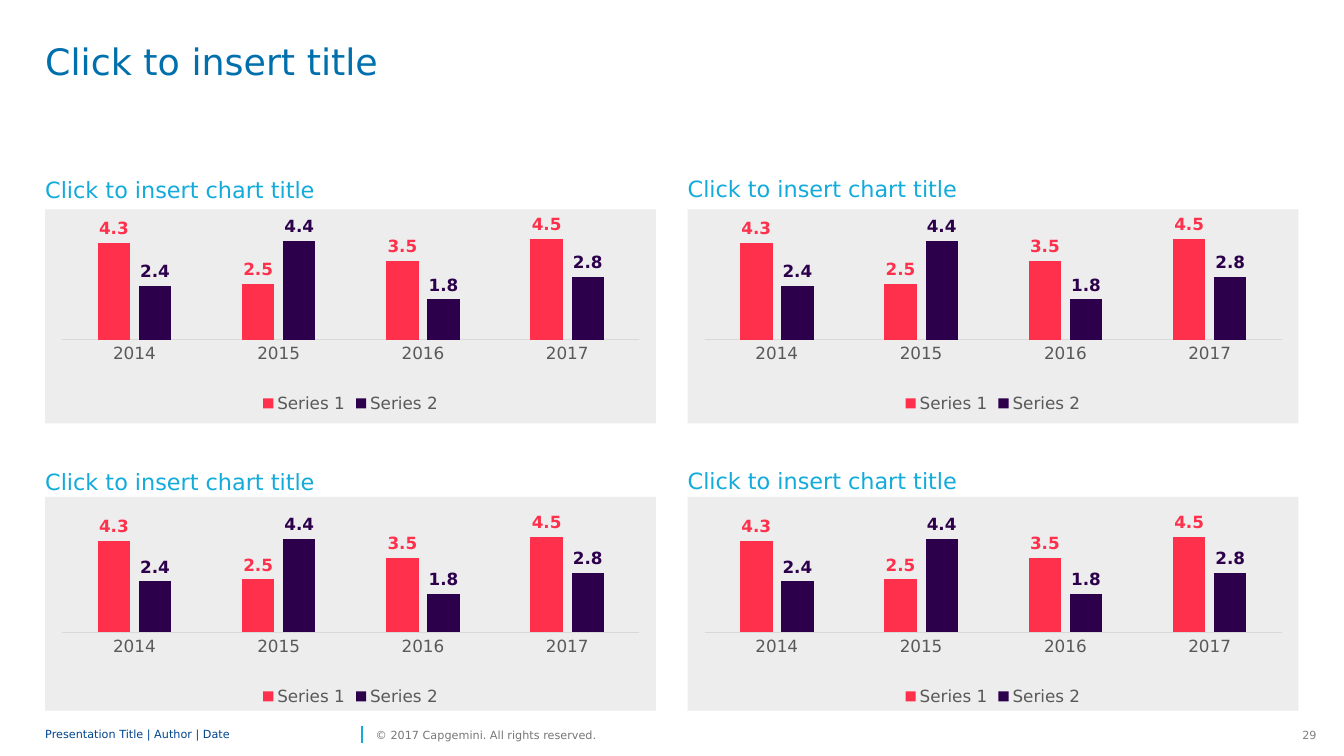
from dataclasses import dataclass

from lxml import etree
from pptx import Presentation
from pptx import util as u
from pptx.chart.data import CategoryChartData
from pptx.dml.color import RGBColor
from pptx.enum import chart as charts, shapes, text
from pptx.oxml import parse_xml
from pptx.oxml.ns import nsdecls, qn


@dataclass(frozen=True)
class Theme:
    font: str = "DejaVu Sans"
    title: str = "0070AD"
    accent: str = "12ABDB"
    panel: str = "EDEDED"
    author: str = "00458D"
    copyright: str = "767676"
    page_number: str = "808080"
    chart_text: str = "595959"
    axis: str = "D9D9D9"
    series: tuple = ("FF304C", "2C004B")
    title_size: int = 26
    caption_size: int = 16
    chart_size: int = 12
    footer_size: int = 8


THEME = Theme()
YEARS = (2014, 2015, 2016, 2017)
SERIES = {"Series 1": (4.3, 2.5, 3.5, 4.5), "Series 2": (2.4, 4.4, 1.8, 2.8)}

COLUMNS = (1.14, 17.33)
COLUMN_WIDTH = 15.39
CAPTION_OFFSETS = (0, -0.03)
# Per row: caption top, panel top, chart top, plot top and plot height
ROWS = ((3.97, 5.28, 5.06, 0.123, 0.518), (11.33, 12.52, 12.44, 0.149, 0.492))


def set_values(target, **values):
    for name, value in values.items():
        setattr(target, name, value)


def set_font(font, size, color, bold=False):
    set_values(font, name=THEME.font, size=u.Pt(size), bold=bold)
    font.color.rgb = RGBColor.from_string(color)


def place(shape, left, top, width, height):
    set_values(shape, left=u.Cm(left), top=u.Cm(top),
               width=u.Cm(width), height=u.Cm(height))


def write(box, words, size, color, anchor=text.MSO_ANCHOR.TOP,
          wrap=True, **paragraph_format):
    frame = box.text_frame
    set_values(frame, word_wrap=wrap, auto_size=text.MSO_AUTO_SIZE.NONE,
               vertical_anchor=anchor, margin_left=0, margin_top=0,
               margin_right=0, margin_bottom=0)
    para = frame.paragraphs[0]
    set_values(para, **{"alignment": text.PP_ALIGN.LEFT,
                        "space_before": u.Pt(0), **paragraph_format})
    span = para.add_run()
    span.text = words
    set_font(span.font, size, color)
    return para


def add_footer_text(page, left, width, words, color, **options):
    box = page.shapes.add_textbox(
        u.Cm(left), u.Cm(18.21), u.Cm(width), u.Cm(0.61))
    write(box, words, THEME.footer_size, color,
          anchor=text.MSO_ANCHOR.MIDDLE, **options)


def add_divider(page, left, top, bottom):
    line = page.shapes.add_connector(
        shapes.MSO_CONNECTOR.STRAIGHT,
        u.Cm(left), u.Cm(bottom), u.Cm(left), u.Cm(top))
    line.line.color.rgb = RGBColor.from_string(THEME.accent)
    line.line.width = u.Pt(1)
    etree.SubElement(line._element.spPr, qn("a:effectLst"))


def add_panel(page, left, top):
    panel = page.shapes.add_shape(
        shapes.MSO_SHAPE.RECTANGLE,
        u.Cm(left), u.Cm(top), u.Cm(COLUMN_WIDTH), u.Cm(5.39))
    panel.shadow.inherit = False
    panel.fill.solid()
    panel.fill.fore_color.rgb = RGBColor.from_string(THEME.panel)
    panel.line.fill.background()


def write_caption(placeholder, left, top):
    place(placeholder, left, top, COLUMN_WIDTH, 1.14)
    para = write(placeholder, "Click to insert chart title",
                 THEME.caption_size, THEME.accent,
                 anchor=text.MSO_ANCHOR.BOTTOM,
                 line_spacing=u.Pt(18), space_after=u.Pt(6))
    properties = para._p.get_or_add_pPr()
    properties.set("marL", "0")
    properties.set("indent", "0")
    etree.SubElement(properties, qn("a:buNone"))


def clear_backgrounds(chart):
    no_fill = (f'<c:spPr {nsdecls("c", "a")}><a:noFill/>'
               '<a:ln><a:noFill/></a:ln></c:spPr>')
    space = chart._chartSpace
    space.find(qn("c:chart")).addnext(parse_xml(no_fill))
    space.find(".//" + qn("c:plotArea")).append(parse_xml(no_fill))


def set_plot_layout(chart, top, height):
    area = chart._chartSpace.find(".//" + qn("c:plotArea"))
    for old in area.findall(qn("c:layout")):
        area.remove(old)
    layout = etree.Element(qn("c:layout"))
    manual = etree.SubElement(layout, qn("c:manualLayout"))
    settings = {"layoutTarget": "inner", "xMode": "edge", "yMode": "edge",
                "x": 0.028, "y": top, "w": 0.945, "h": height}
    for name, value in settings.items():
        etree.SubElement(manual, qn(f"c:{name}")).set("val", str(value))
    area.insert(0, layout)


def add_column_chart(page, left, top, plot_top, plot_height):
    data = CategoryChartData()
    data.categories = YEARS
    for name, values in SERIES.items():
        data.add_series(name, values)
    chart = page.shapes.add_chart(
        charts.XL_CHART_TYPE.COLUMN_CLUSTERED,
        u.Cm(left), u.Cm(top), u.Cm(COLUMN_WIDTH), u.Cm(5.46), data).chart
    set_values(chart, has_title=False, has_legend=True)
    clear_backgrounds(chart)
    set_plot_layout(chart, plot_top, plot_height)
    set_font(chart.font, THEME.chart_size, THEME.chart_text)
    set_values(chart.legend, include_in_layout=False,
               position=charts.XL_LEGEND_POSITION.BOTTOM)
    set_font(chart.legend.font, THEME.chart_size, THEME.chart_text)

    set_values(chart.value_axis, visible=False, has_major_gridlines=False,
               minimum_scale=0, maximum_scale=5)
    years = chart.category_axis
    years.major_tick_mark = charts.XL_TICK_MARK.NONE
    set_font(years.tick_labels.font, THEME.chart_size, THEME.chart_text)
    years.format.line.width = u.Pt(0.75)
    years.format.line.color.rgb = RGBColor.from_string(THEME.axis)

    plot = chart.plots[0]
    set_values(plot, gap_width=219, overlap=-27, vary_by_categories=False)
    for series, color in zip(plot.series, THEME.series):
        series.format.fill.solid()
        series.format.fill.fore_color.rgb = RGBColor.from_string(color)
        labels = series.data_labels
        set_values(labels, show_value=True,
                   position=charts.XL_LABEL_POSITION.OUTSIDE_END)
        set_font(labels.font, THEME.chart_size, color, bold=True)


def add_footer(page):
    add_footer_text(page, 32.74, 0.44, "29", THEME.page_number,
                    wrap=False, alignment=text.PP_ALIGN.RIGHT)
    add_divider(page, 9.12, 18.29, 18.72)
    add_footer_text(page, 1.14, 7.85, "Presentation Title | Author | Date",
                    THEME.author, line_spacing=0.85)
    add_footer_text(page, 9.47, 6.17, "© 2017 Capgemini. All rights reserved.",
                    THEME.copyright, wrap=False)


def main():
    deck = Presentation()
    set_values(deck, slide_width=u.Cm(33.87), slide_height=u.Cm(19.05))
    comparison_layout = deck.slide_layouts[4]
    page = deck.slides.add_slide(comparison_layout)
    title, *captions = page.placeholders
    place(title, 1.14, 1.12, 30.61, 2.39)
    write(title, "Click to insert title", THEME.title_size, THEME.title,
          line_spacing=0.9)
    add_footer(page)

    remaining = iter(captions)
    for caption_top, panel_top, chart_top, plot_top, plot_height in ROWS:
        for left, offset in zip(COLUMNS, CAPTION_OFFSETS):
            add_panel(page, left, panel_top)
            add_column_chart(page, left, chart_top, plot_top, plot_height)
            write_caption(next(remaining), left, caption_top + offset)
    deck.save("out.pptx")


if __name__ == "__main__":
    main()
